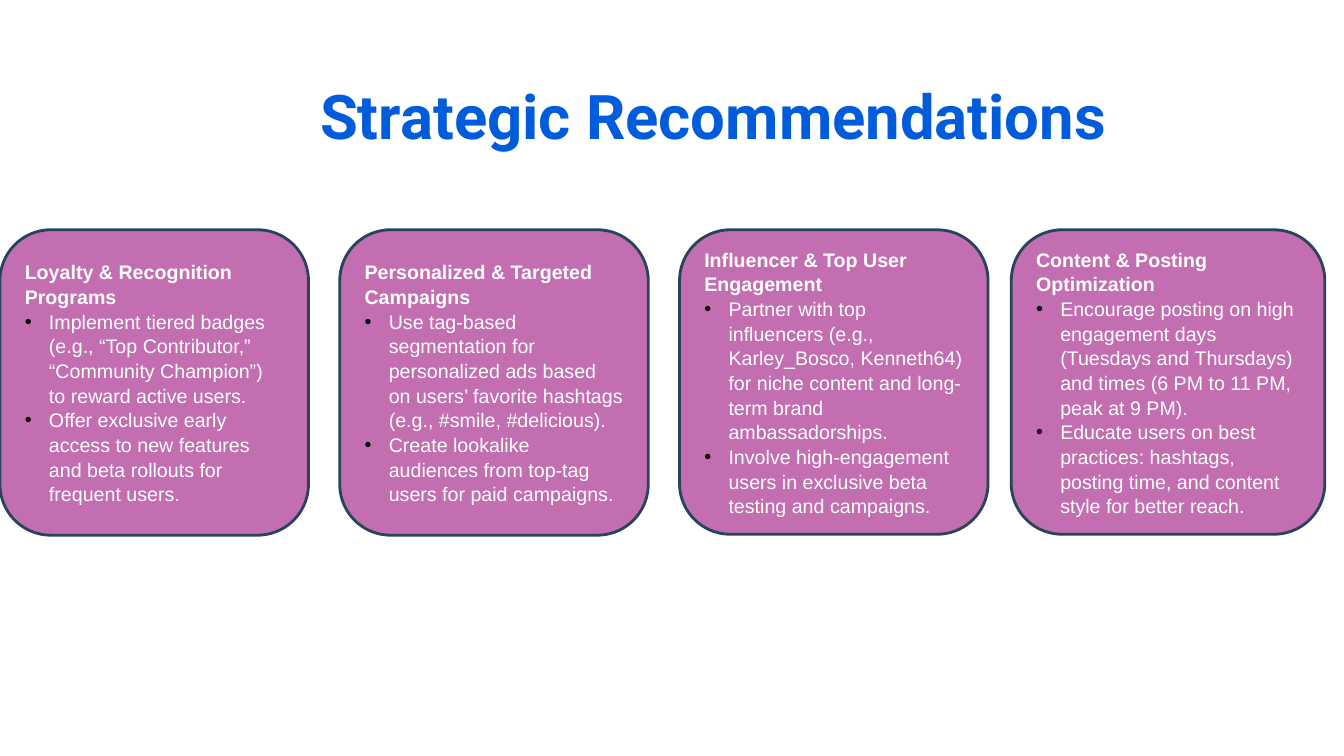
from pptx import Presentation
from pptx.dml.color import RGBColor
from pptx.enum import shapes, text
from pptx.oxml import parse_xml
from pptx.oxml.ns import nsdecls
from pptx.util import Inches, Pt

COLORS = {"title": "005CDB", "card": "C26EB0", "edge": "28445D",
          "text": "FFFFFF", "dot": "000000"}
TOP = 2.28
CARDS = [
    (0, 3.06, 3.03, "Loyalty & Recognition Programs", [
        "Implement tiered badges (e.g., “Top Contributor,” “Community Champion”) "
        "to reward active users.",
        "Offer exclusive early access to new features and beta rollouts for "
        "frequent users."]),
    (3.37, 3.06, 3.03, "Personalized & Targeted Campaigns", [
        "Use tag-based segmentation for personalized ads based on users’ favorite "
        "hashtags (e.g., #smile, #delicious).",
        "Create lookalike audiences from top-tag users for paid campaigns."]),
    (6.74, 3.06, 3.02, "Influencer & Top User Engagement", [
        "Partner with top influencers (e.g., Karley_Bosco, Kenneth64) for niche "
        "content and long-term brand ambassadorships.",
        "Involve high-engagement users in exclusive beta testing and campaigns."]),
    (10.03, 3.11, 3.02, "Content & Posting Optimization", [
        "Encourage posting on high engagement days (Tuesdays and Thursdays) and "
        "times (6 PM to 11 PM, peak at 9 PM).",
        "Educate users on best practices: hashtags, posting time, and content "
        "style for better reach."]),
]


def color(name):
    """Return the named colour."""
    return RGBColor.from_string(COLORS[name])


def style(para, face, size, bold, tint):
    """Set the font of a paragraph."""
    font = para.font
    font.name, font.size, font.bold = face, Pt(size), bold
    font.color.rgb = color(tint)


def bullet(para):
    """Give a paragraph a hanging bullet."""
    props = para._p.get_or_add_pPr()
    props.set("marL", str(Inches(0.24)))
    props.set("indent", str(-Inches(0.24)))
    ns = nsdecls("a")
    for xml in (f'<a:buClr {ns}><a:srgbClr val="{COLORS["dot"]}"/></a:buClr>',
                f'<a:buFont {ns} typeface="Arial"/>',
                f'<a:buChar {ns} char="•"/>'):
        props.insert_element_before(parse_xml(xml), "a:tabLst", "a:defRPr", "a:extLst")


def add_title(slide, left, top, width, height):
    """Place and format the slide title."""
    title = slide.shapes.title
    title.left, title.top = Inches(left), Inches(top)
    title.width, title.height = Inches(width), Inches(height)
    frame = title.text_frame
    frame.text = "Strategic Recommendations"
    frame.vertical_anchor = text.MSO_ANCHOR.MIDDLE
    para = frame.paragraphs[0]
    para.alignment = text.PP_ALIGN.CENTER
    para.line_spacing = 0.9
    style(para, "Roboto", 44, True, "title")


def add_card(slide, left, top, width, height, head, points):
    """Draw a rounded card with a heading and bullets."""
    card = slide.shapes.add_shape(
        shapes.MSO_SHAPE.ROUNDED_RECTANGLE,
        Inches(left), Inches(top), Inches(width), Inches(height))
    card.shadow.inherit = False
    card.fill.solid()
    card.fill.fore_color.rgb = color("card")
    card.line.color.rgb = color("edge")
    card.line.width = Pt(2)
    frame = card.text_frame
    frame.word_wrap = True
    frame.vertical_anchor = text.MSO_ANCHOR.MIDDLE
    frame.text = "\n".join([head, *points])
    for index, para in enumerate(frame.paragraphs):
        para.alignment = text.PP_ALIGN.LEFT
        para.line_spacing = 1.05
        style(para, "Arial", 14, index == 0, "text")
        if index:
            bullet(para)


def main():
    """Build and save the slide."""
    deck = Presentation()
    deck.slide_width, deck.slide_height = Inches(13.33), Inches(7.5)
    slide = deck.slides.add_slide(deck.slide_layouts[5])
    add_title(slide, 1.35, 0.46, 11.46, 1.45)
    for left, width, height, head, points in CARDS:
        add_card(slide, left, TOP, width, height, head, points)
    deck.save("out.pptx")


if __name__ == "__main__":
    main()
